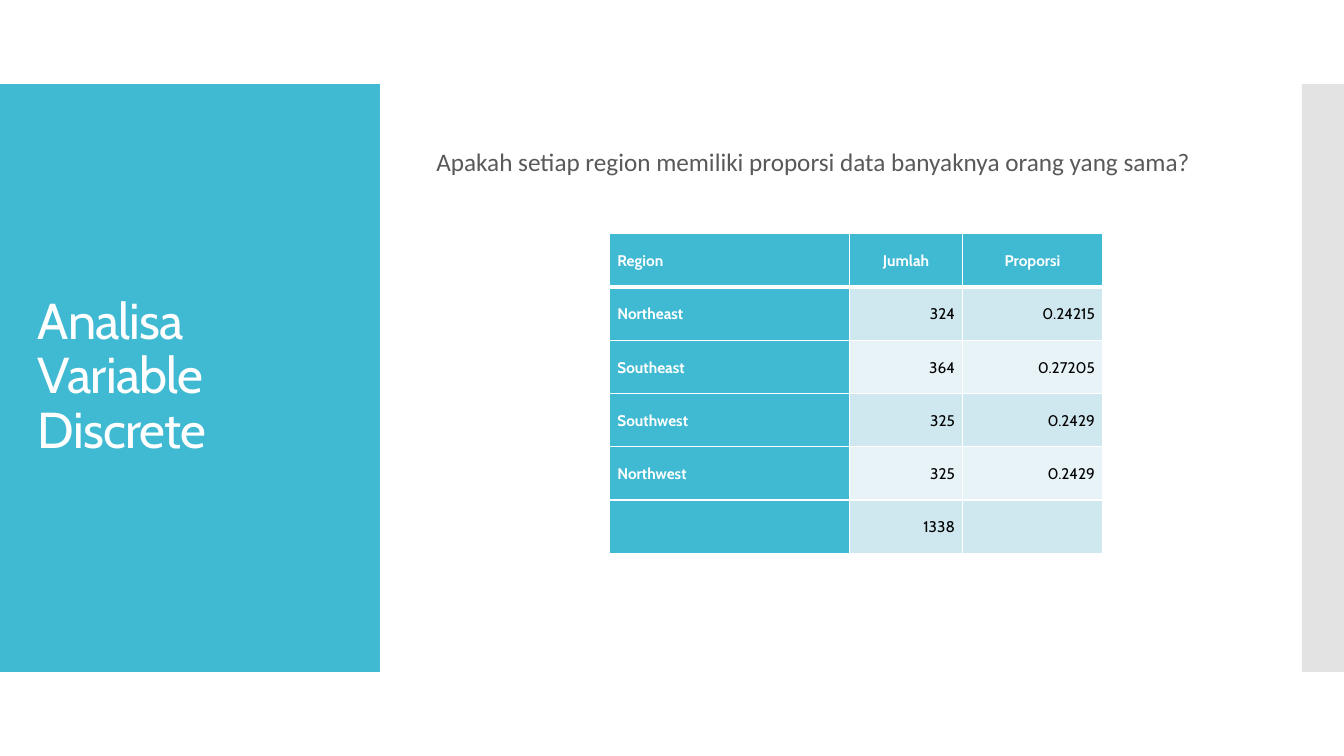
"""Build a slide with a table of counts and proportions per region."""
from lxml import etree
from pptx import Presentation
from pptx.dml.color import RGBColor
from pptx.enum.shapes import MSO_SHAPE
from pptx.enum.text import MSO_ANCHOR, PP_ALIGN
from pptx.oxml import parse_xml
from pptx.oxml.ns import qn
from pptx.util import Pt

RECTANGLE = MSO_SHAPE.RECTANGLE
MIDDLE = MSO_ANCHOR.MIDDLE
LEFT, CENTER, RIGHT = PP_ALIGN.LEFT, PP_ALIGN.CENTER, PP_ALIGN.RIGHT

TEAL = RGBColor(0x40, 0xBA, 0xD2)
GRAY = RGBColor(0xC8, 0xC8, 0xC8)
BAND_DARK = RGBColor(0xCF, 0xE7, 0xEE)
BAND_LIGHT = RGBColor(0xE8, 0xF3, 0xF7)
TEXT_GRAY = RGBColor(0x59, 0x59, 0x59)
WHITE = RGBColor(0xFF, 0xFF, 0xFF)
BLACK = RGBColor(0, 0, 0)

DRAWING = "http://schemas.openxmlformats.org/drawingml/2006/main"
COLUMN_WIDTHS = [171.3, 80.7, 100]
ROW_HEIGHT = 38.05
ROWS = [
    ("Region", "Jumlah", "Proporsi"),
    ("Northeast", "324", "0.24215"),
    ("Southeast", "364", "0.27205"),
    ("Southwest", "325", "0.2429"),
    ("Northwest", "325", "0.2429"),
    ("", "1338", ""),
]


def add_text(left, top, width, height, text, font_name, size, color):
    text_box = slide.shapes.add_textbox(Pt(left), Pt(top), Pt(width), Pt(height))
    text_frame = text_box.text_frame
    text_frame.word_wrap = True
    text_frame.vertical_anchor = MIDDLE
    paragraph = text_frame.paragraphs[0]
    paragraph.text = text
    paragraph.line_spacing = 0.9
    paragraph.font.name = font_name
    paragraph.font.size = Pt(size)
    paragraph.font.color.rgb = color
    return paragraph


def add_borders(cell, top_width, bottom_width):
    properties = cell._tc.get_or_add_tcPr()
    sides = [("L", 1), ("R", 1), ("T", top_width), ("B", bottom_width)]
    for position, (side, width) in enumerate(sides):
        border = parse_xml(
            f'<a:ln{side} xmlns:a="{DRAWING}" w="{Pt(width)}"><a:solidFill>'
            f'<a:srgbClr val="{WHITE}"/></a:solidFill></a:ln{side}>'
        )
        properties.insert(position, border)


presentation = Presentation()
presentation.slide_width = Pt(960)
presentation.slide_height = Pt(540)
slide = presentation.slides.add_slide(presentation.slide_layouts[6])

for left, width, color, opacity in [(0, 271.4, TEAL, 100), (930, 30, GRAY, 50)]:
    panel = slide.shapes.add_shape(RECTANGLE, Pt(left), Pt(60), Pt(width), Pt(420))
    panel.shadow.inherit = False
    panel.line.fill.background()
    panel.fill.solid()
    panel.fill.fore_color.rgb = color
    if opacity < 100:
        color_element = panel._element.spPr.find(".//" + qn("a:srgbClr"))
        etree.SubElement(color_element, qn("a:alpha")).set("val", str(opacity * 1000))

title = add_text(20, 88.5, 232, 362, "Analisa Variable Discrete", "Cabin", 36, WHITE)
title.runs[0]._r.get_or_add_rPr().set("spc", "-60")

table = slide.shapes.add_table(
    len(ROWS), len(COLUMN_WIDTHS), Pt(435.6), Pt(167),
    Pt(sum(COLUMN_WIDTHS)), Pt(ROW_HEIGHT * len(ROWS)),
).table
for column, width in zip(table.columns, COLUMN_WIDTHS):
    column.width = Pt(width)

for row_index, values in enumerate(ROWS):
    table.rows[row_index].height = Pt(ROW_HEIGHT)
    is_header = row_index == 0
    for column_index, value in enumerate(values):
        is_label = is_header or column_index == 0
        band = BAND_DARK if row_index % 2 else BAND_LIGHT
        cell = table.cell(row_index, column_index)
        cell.fill.solid()
        cell.fill.fore_color.rgb = TEAL if is_label else band
        cell.vertical_anchor = MIDDLE
        cell.margin_left = cell.margin_right = Pt(5.4)
        cell.margin_top = cell.margin_bottom = 0
        paragraph = cell.text_frame.paragraphs[0]
        paragraph.text = value
        paragraph.line_spacing = 1.07
        if column_index == 0:
            paragraph.alignment = LEFT
        else:
            paragraph.alignment = CENTER if is_header else RIGHT
        paragraph.font.name = "Cabin"
        paragraph.font.size = Pt(11)
        paragraph.font.bold = is_label
        paragraph.font.color.rgb = WHITE if is_label else BLACK
        add_borders(cell, 3 if row_index == 1 else 1, 3 if is_header else 1)

add_text(
    304.6, 102, 576, 30,
    "Apakah setiap region memiliki proporsi data banyaknya orang yang sama?",
    "Calibri", 18, TEXT_GRAY,
)

presentation.save("out.pptx")
